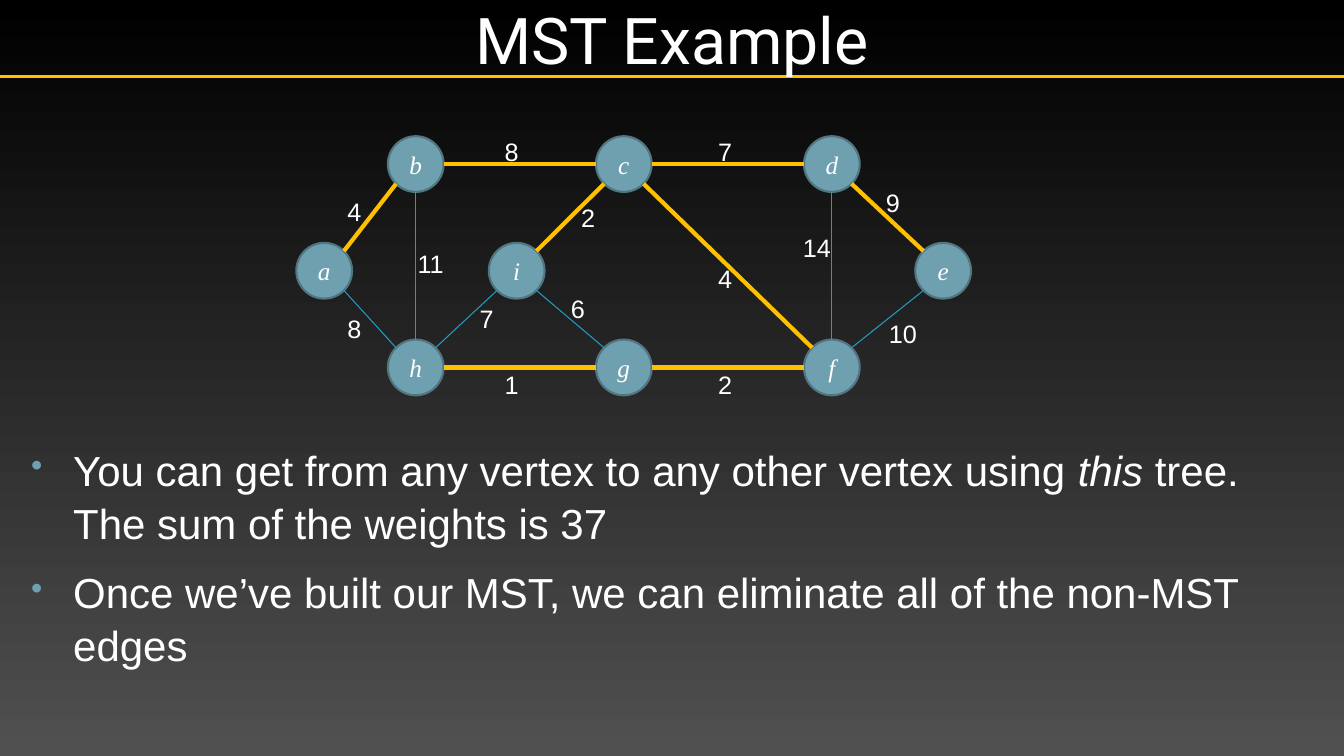
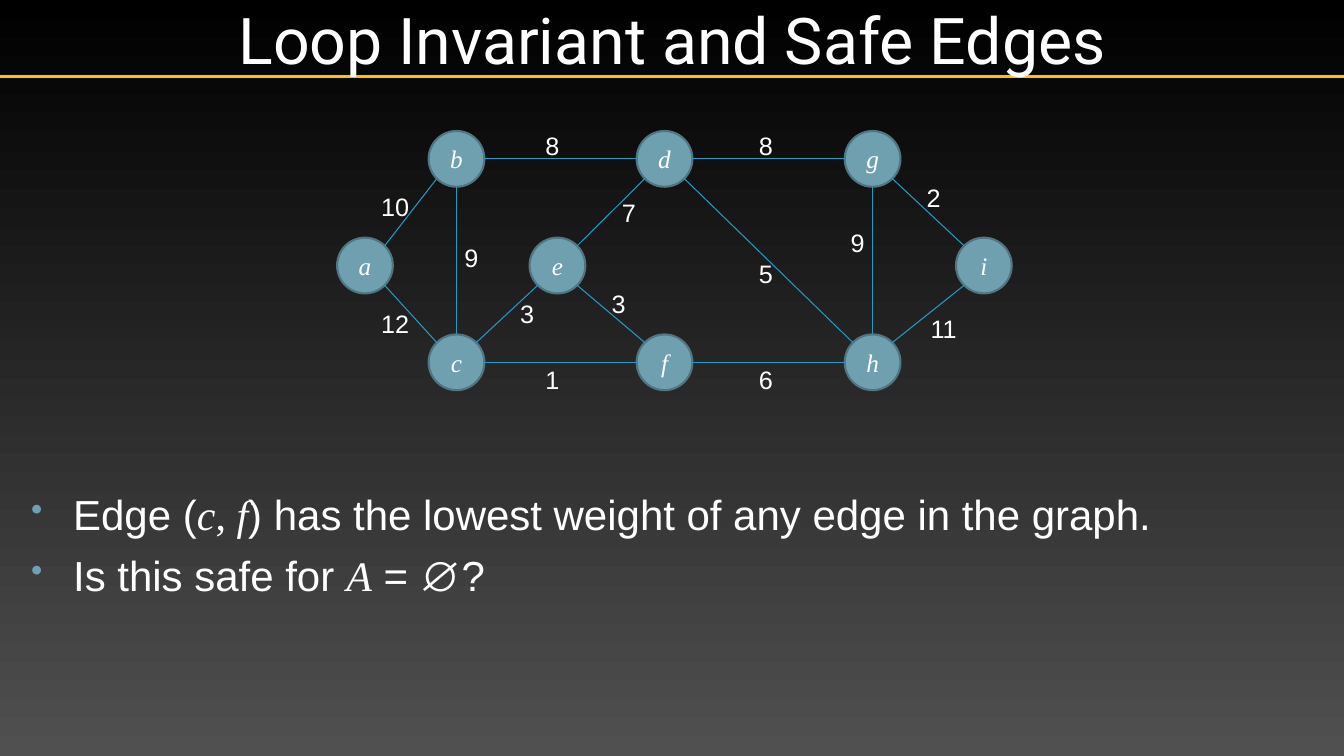
import pptx
import pptx.dml.color
import pptx.enum.shapes
import pptx.enum.text
import pptx.oxml
import pptx.oxml.xmlchemy
import pptx.util

Pt = pptx.util.Pt
RGBColor = pptx.dml.color.RGBColor
ALIGN = pptx.enum.text.PP_ALIGN
ANCHOR = pptx.enum.text.MSO_ANCHOR

BLACK = RGBColor(0x00, 0x00, 0x00)
GRAY = RGBColor(0x50, 0x50, 0x50)
WHITE = RGBColor(0xFF, 0xFF, 0xFF)
GOLD = RGBColor(0xFF, 0xC0, 0x00)
TEAL = RGBColor(0x6E, 0xA0, 0xB0)
DARK_TEAL = RGBColor(0x51, 0x76, 0x82)
BLUE = RGBColor(0x23, 0x9B, 0xC2)

WIDTH, HEIGHT = 960, 540
TITLE_HEIGHT = 54.7
NODE_SIZE = 39.8
LABEL_WIDTH, LABEL_HEIGHT = 32.4, 28.8
DIAGONAL = 0.707

TITLE_FONT = {"name": "Roboto", "size": Pt(46)}
BODY_FONT = {"name": "Arial", "size": Pt(30)}
NODE_FONT = {"name": "Times New Roman", "size": Pt(18), "italic": True}
LABEL_FONT = {"name": "Arial", "size": Pt(18)}
ITALIC = {"italic": True}
SERIF = {"name": "Times New Roman"}
MATH = {**SERIF, **ITALIC}

LEFT, CENTER, RIGHT = 231.6, 369.1, 673.7
COLUMNS = [297, 445.6, 594.2]
TOP, MIDDLE, BOTTOM = 117.2, 193.4, 262.5

NODES = {
    "top left": (COLUMNS[0], TOP),
    "top": (COLUMNS[1], TOP),
    "top right": (COLUMNS[2], TOP),
    "bottom left": (COLUMNS[0], BOTTOM),
    "bottom": (COLUMNS[1], BOTTOM),
    "bottom right": (COLUMNS[2], BOTTOM),
    "left": (LEFT, MIDDLE),
    "center": (CENTER, MIDDLE),
    "right": (RIGHT, MIDDLE),
}

EDGES = [
    ("top left", "top", 349.2, 93.6),
    ("top", "top right", 501.8, 93.6),
    ("bottom left", "bottom", 349.2, 260.6),
    ("bottom", "bottom right", 501.8, 260.6),
    ("top left", "bottom left", 291.4, 173.5),
    ("left", "top left", 236.9, 136.8),
    ("left", "bottom left", 236.9, 220.1),
    ("bottom left", "center", 331.3, 213.1),
    ("center", "bottom", 396.6, 205.9),
    ("center", "top", 403.9, 141.1),
    ("top", "bottom right", 501.8, 184.5),
    ("top right", "bottom right", 567.3, 162.5),
    ("top right", "right", 621.5, 130.1),
    ("bottom right", "right", 628.7, 223.9),
]


def apply_format(target, values):
    for name, value in values.items():
        setattr(target, name, value)


def direction(start, end):
    return (end > start) - (end < start)


class Deck:
    def __init__(self):
        self.presentation = pptx.Presentation()
        self.presentation.slide_width = Pt(WIDTH)
        self.presentation.slide_height = Pt(HEIGHT)
        self.slide = None

    def add_slide(self, title):
        self.slide = self.presentation.slides.add_slide(self.presentation.slide_layouts[6])
        fill = self.slide.background.fill
        fill.gradient()
        fill.gradient_angle = 270
        for stop, color in zip(fill.gradient_stops, (BLACK, GRAY)):
            stop.color.rgb = color
        self.line((0, TITLE_HEIGHT), (WIDTH, TITLE_HEIGHT), GOLD, 2.5)
        self.text_box(title, (0, 0, WIDTH, TITLE_HEIGHT), TITLE_FONT, {
            "margin_left": Pt(3.6), "margin_right": Pt(3.6),
            "vertical_anchor": ANCHOR.MIDDLE})

    def run(self, paragraph, text, font):
        run = paragraph.add_run()
        run.text = text
        apply_format(run.font, font)
        run.font.color.rgb = WHITE

    def line(self, start, end, color, width):
        connector = self.slide.shapes.add_connector(
            pptx.enum.shapes.MSO_CONNECTOR.STRAIGHT, *map(Pt, start + end))
        connector.line.color.rgb = color
        connector.line.width = Pt(width)
        connector._element.spPr.append(
            pptx.oxml.xmlchemy.OxmlElement("a:effectLst"))

    def frame(self, box, values):
        frame = self.slide.shapes.add_textbox(*map(Pt, box)).text_frame
        apply_format(frame, {"word_wrap": True, **values})
        return frame

    def text_box(self, text, box, font, values):
        paragraph = self.frame(box, values).paragraphs[0]
        paragraph.alignment = ALIGN.CENTER
        self.run(paragraph, text, font)

    def node(self, letter, x, y):
        radius = NODE_SIZE / 2
        shape = self.slide.shapes.add_shape(
            pptx.enum.shapes.MSO_SHAPE.OVAL,
            *map(Pt, (x - radius, y - radius, NODE_SIZE, NODE_SIZE)))
        shape.shadow.inherit = False
        shape.fill.solid()
        shape.fill.fore_color.rgb = TEAL
        shape.line.color.rgb = DARK_TEAL
        shape.line.width = Pt(1.5)
        shape.text_frame.vertical_anchor = ANCHOR.MIDDLE
        paragraph = shape.text_frame.paragraphs[0]
        paragraph.alignment = ALIGN.CENTER
        self.run(paragraph, letter, NODE_FONT)

    def edge(self, start, end, in_tree):
        across = direction(start[0], end[0])
        down = direction(start[1], end[1])
        reach = NODE_SIZE / 2 * (DIAGONAL if across and down else 1)
        self.line((start[0] + across * reach, start[1] + down * reach),
                  (end[0] - across * reach, end[1] - down * reach),
                  *((GOLD, 3) if in_tree else (BLUE, 0.75)))

    def graph(self, letters, weights, tree=(), offset=(0, 0)):
        shift_x, shift_y = offset
        places = {name: (x + shift_x, y + shift_y) for name, (x, y) in NODES.items()}
        for letter, place in zip(letters, places.values()):
            self.node(letter, *place)
        for index, (start, end, _, _) in enumerate(EDGES):
            self.edge(places[start], places[end], index in tree)
        for weight, (_, _, x, y) in zip(weights, EDGES):
            self.text_box(
                str(weight), (x + shift_x, y + shift_y, LABEL_WIDTH, LABEL_HEIGHT),
                LABEL_FONT, {"margin_left": 0, "margin_right": 0})

    def bullets(self, items, top, height, space_before):
        frame = self.frame((12.2, top, 934, height), {})
        for index, runs in enumerate(items):
            paragraph = frame.add_paragraph() if index else frame.paragraphs[0]
            apply_format(paragraph, {
                "space_before": Pt(space_before), "line_spacing": 1.05})
            properties = paragraph._p.get_or_add_pPr()
            properties.set("marL", str(Pt(33)))
            properties.set("indent", str(Pt(-30)))
            color = pptx.oxml.xmlchemy.OxmlElement("a:buClr")
            value = pptx.oxml.xmlchemy.OxmlElement("a:srgbClr")
            value.set("val", str(TEAL))
            color.append(value)
            size = pptx.oxml.xmlchemy.OxmlElement("a:buSzPct")
            size.set("val", "80000")
            character = pptx.oxml.xmlchemy.OxmlElement("a:buChar")
            character.set("char", "•")
            properties.extend([color, size, character])
            for text, font in runs:
                self.run(paragraph, text, {**BODY_FONT, **font})


def main():
    deck = Deck()

    deck.add_slide("MST Example")
    deck.bullets([
        [("You can get from any vertex to any other vertex using ", {}),
         ("this", ITALIC),
         (" tree. The sum of the weights is 37", {})],
        [("Once we’ve built our MST, we can eliminate all of the non-MST edges", {})],
    ], 312, 203, 12)
    deck.graph("bcdhgfaie", [8, 7, 1, 2, 11, 4, 8, 7, 6, 2, 4, 14, 9, 10],
               tree={0, 1, 2, 3, 5, 9, 10, 12})

    deck.add_slide("Loop Invariant and Safe Edges")
    deck.bullets([
        [("Edge (", {}), ("c", MATH), (", ", SERIF), ("f", MATH),
         (") has the lowest weight of any edge in the graph.", {})],
        [("Is this safe for ", {}), ("A", MATH), (" = ∅?", {})],
    ], 343.5, 170, 6)
    deck.graph("bdgcfhaei", [8, 8, 1, 6, 9, 10, 12, 3, 3, 7, 5, 9, 2, 11],
               offset=(29.1, -3.7))

    deck.presentation.save("out.pptx")


if __name__ == "__main__":
    main()
